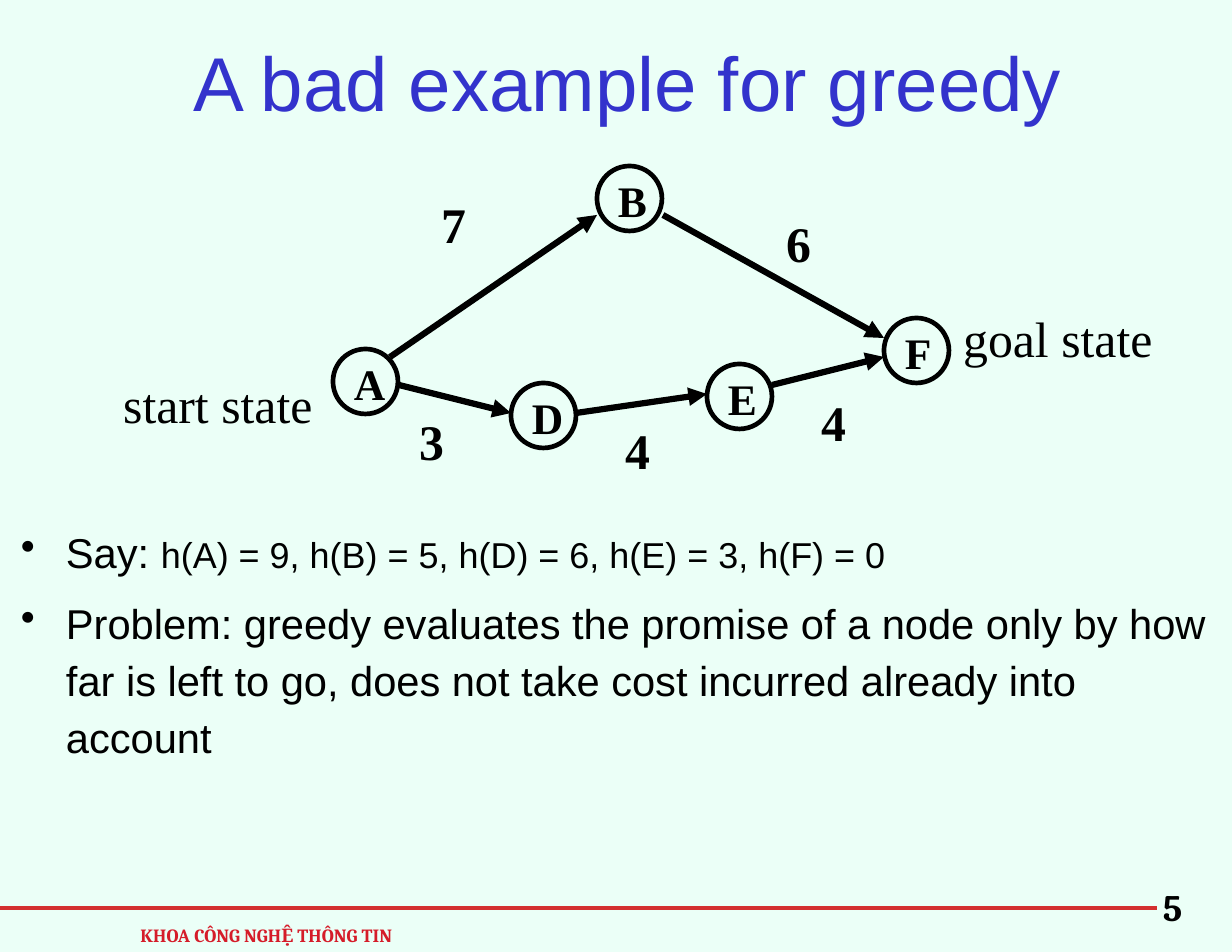
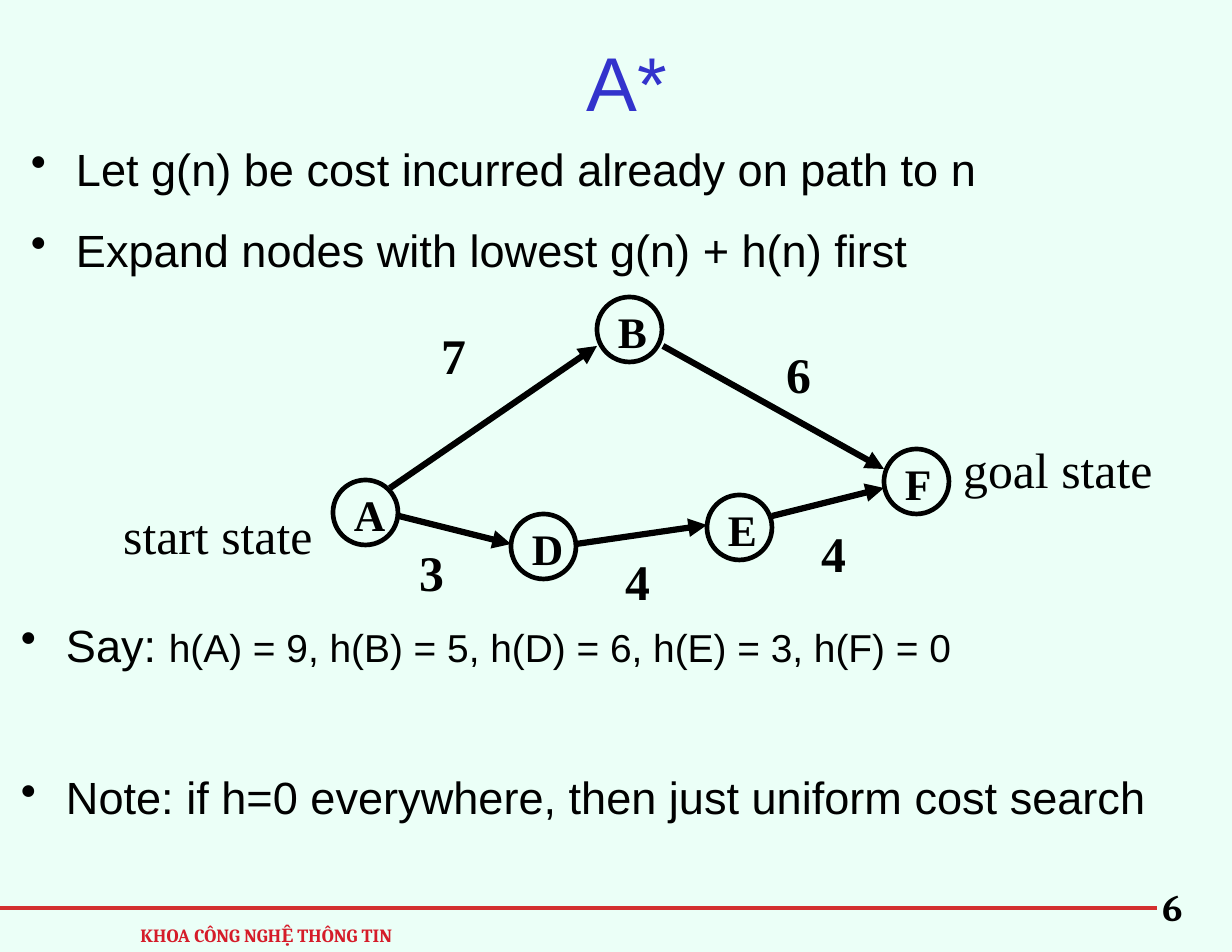
from lxml.etree import SubElement
from pptx import Presentation
from pptx.dml.color import RGBColor
from pptx.enum.shapes import MSO_CONNECTOR, MSO_SHAPE
from pptx.enum.text import MSO_ANCHOR, PP_ALIGN
from pptx.oxml.ns import qn
from pptx.util import Pt

PX = 914400 / 112
WIDTH, HEIGHT = 1232, 952
BLACK, BLUE, RED, RULE, MINT = "000000", "3333CC", "D51C29", "D32F2F", "EBFFF7"
SANS, SERIF, FOOT = "Arial", "Times New Roman", "Cambria"

# Graph: node corners, arrows and edge costs
NODE, GRAPH_SHIFT = 65, 131
NODES = {"A": (333, 349), "B": (597, 166), "F": (884, 318), "D": (511, 383), "E": (707, 364)}
ARROWS = [(390, 357, 597, 215), (663, 215, 884, 338), (399, 385, 511, 413),
          (576, 413, 707, 394), (772, 385, 884, 357)]
COSTS = [("3", 408, 394), ("4", 614, 403), ("4", 810, 375), ("7", 430, 177), ("6", 775, 196)]
STATES = [("start state", 112, 357), ("goal state", 952, 291)]
HEURISTIC = "h(A) = 9, h(B) = 5, h(D) = 6, h(E) = 3, h(F) = 0"


def emu(px):
    return round(px * PX)


def color(value):
    return RGBColor.from_string(value)


def write(p, text, size=28, font=SERIF, fill=BLACK, bold=False):
    r = p.add_run()
    r.text = text
    r.font.size = Pt(size)
    r.font.name = font
    r.font.bold = bold
    r.font.color.rgb = color(fill)


class Deck:
    def __init__(self):
        self.prs = Presentation()
        self.prs.slide_width, self.prs.slide_height = emu(WIDTH), emu(HEIGHT)
        self.s = None

    def slide(self, title, number):
        self.s = self.prs.slides.add_slide(self.prs.slide_layouts[6])
        bg = self.s.background.fill
        bg.solid()
        bg.fore_color.rgb = color(MINT)
        # Footer
        self.line(0, 908, 1157, 908, fill=RULE, weight=2.25)
        self.label("KHOA CÔNG NGHỆ THÔNG TIN", 125, 914, 283, 38, wrap=True,
                   size=12, font=FOOT, fill=RED, bold=True)
        self.label(number, 1129, 870, 87, 64, wrap=True, size=24, font=FOOT, bold=True)
        # Title
        self.label(title, 22, 0, 1210, 140, spacing=1.24, wrap=True,
                   anchor=MSO_ANCHOR.MIDDLE, size=49, font=SANS, fill=BLUE)

    def frame(self, x, y, w, h, wrap, inset=(11, 6), anchor=MSO_ANCHOR.TOP):
        tf = self.s.shapes.add_textbox(*map(emu, (x, y, w, h))).text_frame
        tf.word_wrap = wrap
        tf.vertical_anchor = anchor
        tf.margin_left = tf.margin_right = emu(inset[0])
        tf.margin_top = tf.margin_bottom = emu(inset[1])
        return tf

    def label(self, text, x, y, w, h, align=PP_ALIGN.CENTER, spacing=1.18,
              wrap=False, anchor=MSO_ANCHOR.TOP, **style):
        p = self.frame(x, y, w, h, wrap, anchor=anchor).paragraphs[0]
        p.alignment = align
        p.line_spacing = spacing
        write(p, text, **style)

    def bullets(self, x, y, items, spacing=1.24, gap=9):
        """Each item is a list of (text, size) runs."""
        tf = self.frame(x, y, 1223, 252, True, inset=(12, 7))
        for i, runs in enumerate(items):
            p = tf.add_paragraph() if i else tf.paragraphs[0]
            pPr = p._p.get_or_add_pPr()
            pPr.set("marL", str(emu(45)))
            pPr.set("indent", str(-emu(45)))
            clr = SubElement(pPr, qn("a:buClr"))
            SubElement(clr, qn("a:srgbClr"), val=BLACK)
            SubElement(pPr, qn("a:buChar"), char="•")
            p.line_spacing = spacing
            p.space_before = Pt(gap if i else 0)
            for text, size in runs:
                write(p, text, size=size, font=SANS)

    def line(self, x1, y1, x2, y2, fill=BLACK, weight=4, arrow=False):
        sp = self.s.shapes.add_connector(MSO_CONNECTOR.STRAIGHT, *map(emu, (x1, y1, x2, y2)))
        sp.line.color.rgb = color(fill)
        sp.line.width = Pt(weight)
        if arrow:
            SubElement(sp.line._get_or_add_ln(), qn("a:tailEnd"), type="triangle")
        SubElement(sp._element.spPr, qn("a:effectLst"))

    def node(self, name, x, y):
        sp = self.s.shapes.add_shape(MSO_SHAPE.OVAL, *map(emu, (x, y, NODE, NODE)))
        sp.shadow.inherit = False
        sp.fill.background()
        sp.line.color.rgb = color(BLACK)
        sp.line.width = Pt(3)
        self.label(name, x + 10, y - 7, 53, 73, align=PP_ALIGN.LEFT, bold=True)

    def graph(self, dy=0):
        for name, (x, y) in NODES.items():
            self.node(name, x, y + dy)
        for x1, y1, x2, y2 in ARROWS:
            self.line(x1, y1 + dy, x2, y2 + dy, arrow=True)
        for cost, x, y in COSTS:
            self.label(cost, x, y + dy, 47, 82, size=32, bold=True)
        for state, x, y in STATES:
            self.label(state, x, y + dy, 212, 82, size=32)


def main():
    deck = Deck()

    # Where greedy search fails
    deck.slide("A bad example for greedy", "5")
    deck.graph()
    deck.bullets(9, 513, [
        [("Say: ", 26.8), (HEURISTIC, 23.1)],
        [("Problem: greedy evaluates the promise of a node only by how far is left to go, "
          "does not take cost incurred already into account", 26.8)],
    ], spacing=1.14)

    # A* on the same graph
    deck.slide("A*", "6")
    deck.graph(GRAPH_SHIFT)
    deck.bullets(9, 597, [
        [("Say: ", 29), (HEURISTIC, 25)],
        [("Note: if h=0 everywhere, then just uniform cost search", 29)],
    ], gap=55)
    deck.bullets(19, 121, [
        [("Let g(n) be cost incurred already on path to n", 29)],
        [("Expand nodes with lowest g(n) + h(n) first", 29)],
    ])

    deck.prs.save("out.pptx")


if __name__ == "__main__":
    main()
